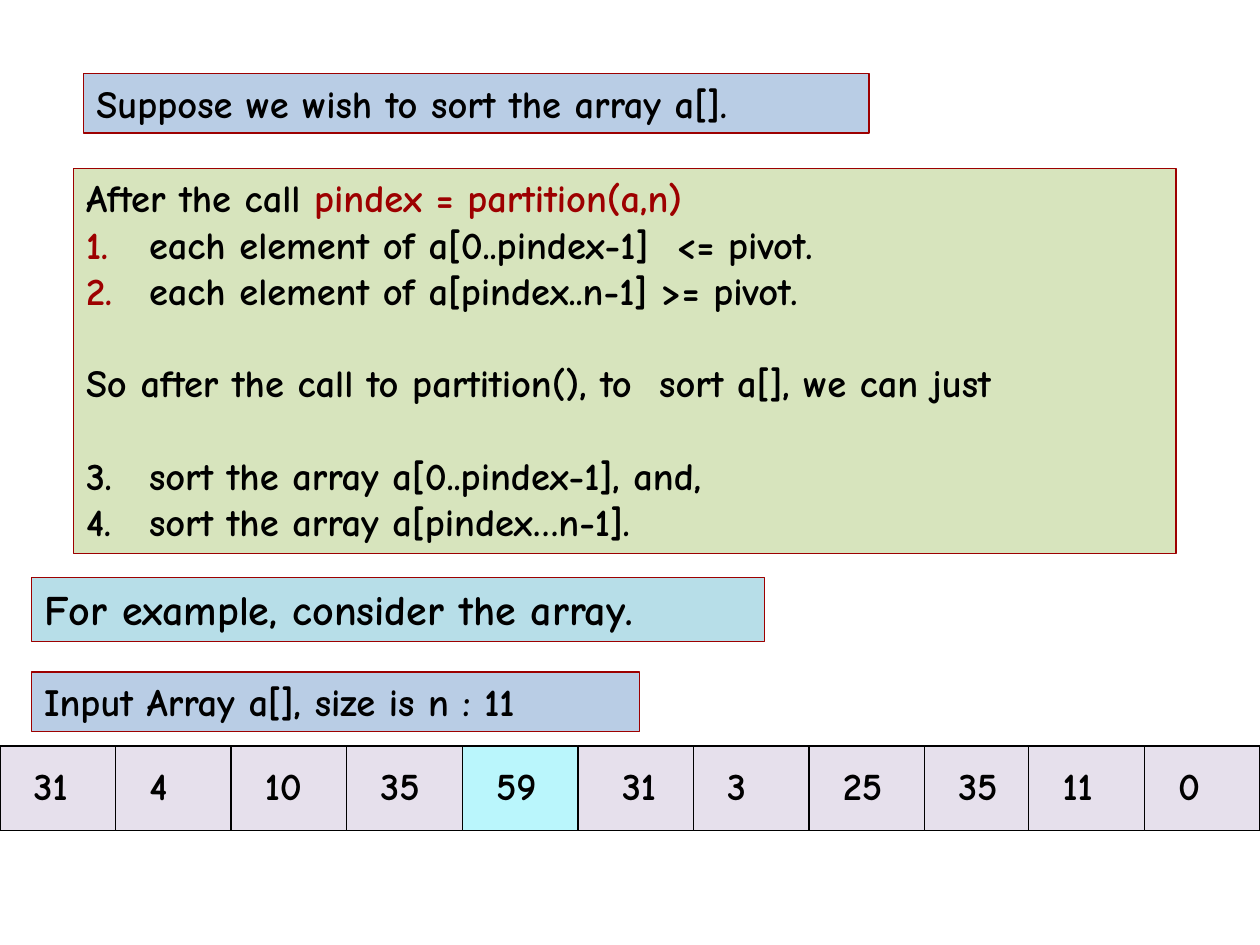
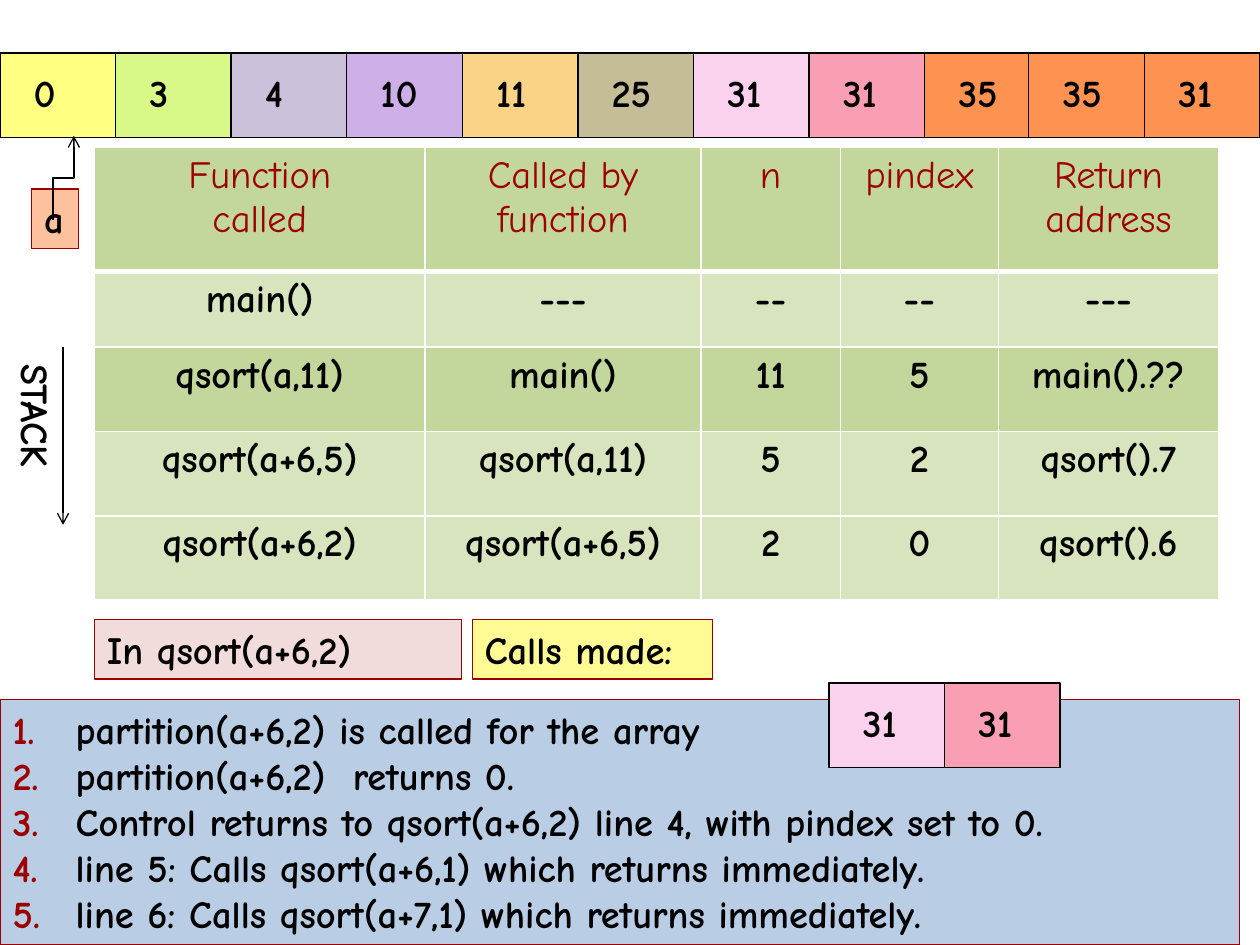
from lxml.etree import SubElement
from pptx import Presentation
from pptx.dml.color import RGBColor
from pptx.enum.shapes import MSO_CONNECTOR, MSO_SHAPE
from pptx.enum.text import MSO_ANCHOR, MSO_AUTO_SIZE, PP_ALIGN
from pptx.oxml.ns import qn
from pptx.util import Cm, Pt

INK, RED, WHITE = "000000", "9D0000", "FFFFFF"
BLUE, LIGHT_GREEN, GREEN = "B9CDE5", "D7E4BD", "C3D69B"
LILAC, PINK, ROSE, ORANGE = "E6E0EC", "FAD2ED", "FA9EB4", "FE9250"
CELL_WIDTH, CELL_HEIGHT, CELL_OVERLAP = 2.33, 1.7, 0.23


def paint(fill, colour):
    fill.solid()
    fill.fore_color.rgb = RGBColor.from_string(colour)


def write(frame, lines, size=22, bold=True, align=PP_ALIGN.LEFT):
    for index, line in enumerate(lines):
        paragraph = frame.add_paragraph() if index else frame.paragraphs[0]
        start = line.get("start")
        layout = {"alignment": align, "space_before": Pt(line.get("gap", 0))}
        for attribute, value in layout.items():
            setattr(paragraph, attribute, value)
        properties = paragraph._p.get_or_add_pPr()
        indent = Cm(1.27) if start else 0
        properties.set("marL", str(indent))
        properties.set("indent", str(-indent))
        if start:
            mark = SubElement(properties, qn("a:buClr"))
            SubElement(mark, qn("a:srgbClr"), val=line.get("mark", INK))
            SubElement(properties, qn("a:buFontTx"))
            SubElement(properties, qn("a:buAutoNum"), type="arabicPeriod", startAt=str(start))
        else:
            SubElement(properties, qn("a:buNone"))
        for text, colour in line["runs"]:
            run = paragraph.add_run()
            run.text = text
            for attribute, value in {"name": "Comic Neue", "size": Pt(size), "bold": bold}.items():
                setattr(run.font, attribute, value)
            paint(run.font.fill, colour)


deck = Presentation()
deck.slide_width, deck.slide_height = Cm(25.4), Cm(19.05)
partition_slide, stack_slide = [deck.slides.add_slide(deck.slide_layouts[1]) for _ in range(2)]

partition_facts = [
    {"runs": [("After the call ", INK), ("pindex = partition(a,n)", RED)]},
    {"runs": [("each element of a[0..pindex-1]  <= pivot.", INK)], "start": 1, "mark": RED},
    {"runs": [("each element of a[pindex..n-1] >= pivot.", INK)], "start": 1, "mark": RED},
    {"runs": [("So after the call to partition(), to  sort a[], we can just", INK)], "gap": 26.5},
    {"runs": [("sort the array a[0..pindex-1], and,", INK)], "start": 3, "gap": 26.5},
    {"runs": [("sort the array a[pindex…n-1].", INK)], "start": 3},
]
calls_made = [
    {"runs": [(call, INK)], "start": 1, "mark": RED}
    for call in (
        "partition(a+6,2) is called for the array",
        "partition(a+6,2)  returns 0.",
        "Control returns to qsort(a+6,2) line 4, with pindex set to 0.",
        "line 5: Calls qsort(a+6,1) which returns immediately.",
        "line 6: Calls qsort(a+7,1) which returns immediately.",
    )
]

panels = [
    (partition_slide, 0, (1.69, 1.48, 15.83, 1.2), BLUE, 22, "Suppose we wish to sort the array a[]."),
    (partition_slide, 1, (1.48, 3.39, 22.23, 7.77), LIGHT_GREEN, 22, partition_facts),
    (partition_slide, None, (0.64, 11.64, 14.78, 1.3), "B7DEE8", 24, "For example, consider the array."),
    (partition_slide, None, (0.64, 13.55, 12.25, 1.2), BLUE, 22, "Input Array a[], size is n : 11"),
    (stack_slide, 0, (1.9, 12.49, 7.41, 1.2), "F2DCDB", 22, "In qsort(a+6,2)"),
    (stack_slide, 1, (0, 14.1, 24.99, 4.95), BLUE, 22, calls_made),
    (stack_slide, None, (9.52, 12.49, 4.85, 1.2), "FEFB94", 22, "Calls made:"),
    (stack_slide, None, (0.64, 3.81, 0.94, 1.2), "FDC29D", 22, "a"),
]
for slide, holder, place, colour, size, content in panels:
    box = [Cm(length) for length in place]
    if holder is None:
        panel = slide.shapes.add_shape(MSO_SHAPE.RECTANGLE, *box)
    else:
        panel = slide.placeholders[holder]
        for attribute, length in zip(("left", "top", "width", "height"), box):
            setattr(panel, attribute, length)
    panel.shadow.inherit = False
    paint(panel.fill, colour)
    paint(panel.line.fill, RED)
    panel.line.width = Pt(0.75)
    frame_format = {
        "word_wrap": True,
        "auto_size": MSO_AUTO_SIZE.NONE,
        "vertical_anchor": MSO_ANCHOR.TOP,
    }
    for attribute, value in frame_format.items():
        setattr(panel.text_frame, attribute, value)
    lines = [{"runs": [(content, INK)]}] if isinstance(content, str) else content
    write(panel.text_frame, lines, size)

input_values = [31, 4, 10, 35, 59, 31, 3, 25, 35, 11, 0]
input_colours = [LILAC] * 4 + ["BAF6FC"] + [LILAC] * 6
sorted_values = [0, 3, 4, 10, 11, 25, 31, 31, 35, 35, 31]
sorted_colours = ["FFFF81", "D8F888", "CCC1DA", "CFAFE7", "FAD386", "C4BD97", PINK, ROSE] + [ORANGE] * 3
arrays = [
    (partition_slide, 0, 15.04, input_values, input_colours, 5),
    (stack_slide, 0, 1.07, sorted_values, sorted_colours, None),
    (stack_slide, 16.71, 13.77, [31, 31], [PINK, ROSE], None),
]
for slide, left, top, values, colours, shifted in arrays:
    for index, (number, colour) in enumerate(zip(values, colours)):
        cell_left = left + index * CELL_WIDTH - (CELL_OVERLAP if index > 8 else 0)
        element = slide.shapes.add_shape(
            MSO_SHAPE.RECTANGLE, Cm(cell_left), Cm(top), Cm(CELL_WIDTH), Cm(CELL_HEIGHT)
        )
        element.shadow.inherit = False
        paint(element.fill, colour)
        paint(element.line.fill, INK)
        element.line.width = Pt(0.75)
        frame_format = {
            "margin_left": Cm(0.89 if index == shifted else 0.68),
            "margin_right": 0,
            "margin_top": Cm(0.33),
            "vertical_anchor": MSO_ANCHOR.TOP,
        }
        for attribute, value in frame_format.items():
            setattr(element.text_frame, attribute, value)
        write(element.text_frame, [{"runs": [(str(number), INK)]}])

calls = [
    ("Function\ncalled", "Called by\nfunction", "n", "pindex", "Return address"),
    ("main()", "---", "--", "--", "---"),
    ("qsort(a,11)", "main()", "11", "5", "main().??"),
    ("qsort(a+6,5)", "qsort(a,11)", "5", "2", "qsort().7"),
    ("qsort(a+6,2)", "qsort(a+6,5)", "2", "0", "qsort().6"),
]
column_widths = [6.67, 5.56, 2.81, 3.19, 4.43]
row_heights = [2.51, 1.52, 1.7, 1.7, 1.7]
call_stack = stack_slide.shapes.add_table(
    len(calls), len(column_widths), Cm(1.9), Cm(2.97), Cm(sum(column_widths)), Cm(sum(row_heights))
).table
for column, width in zip(call_stack.columns, column_widths):
    column.width = Cm(width)
for row_index, (row, height, entries) in enumerate(zip(call_stack.rows, row_heights, calls)):
    row.height = Cm(height)
    heading = row_index == 0
    for cell, entry in zip(row.cells, entries):
        properties = cell._tc.get_or_add_tcPr()
        for side in "LRTB":
            weight = Pt(3) if heading and side == "B" else Pt(1)
            border = SubElement(properties, qn(f"a:ln{side}"), w=str(weight))
            SubElement(SubElement(border, qn("a:solidFill")), qn("a:srgbClr"), val=WHITE)
        paint(cell.fill, GREEN if row_index in (0, 2) else LIGHT_GREEN)
        lines = [{"runs": [(text, RED if heading else INK)]} for text in entry.split("\n")]
        write(cell.text_frame, lines, bold=not heading, align=PP_ALIGN.CENTER)

stack_label = stack_slide.shapes.add_textbox(Cm(-0.84), Cm(8.05), Cm(3.12), Cm(1.2))
stack_label.rotation = 90
stack_label.text_frame.word_wrap = True
write(stack_label.text_frame, [{"runs": [("STACK", INK)]}])

stack_growth = stack_slide.shapes.add_connector(
    MSO_CONNECTOR.STRAIGHT, Cm(1.27), Cm(6.99), Cm(1.27), Cm(10.58)
)
array_pointer = stack_slide.shapes.add_connector(
    MSO_CONNECTOR.ELBOW, Cm(2.13), Cm(3.8), Cm(0.43), Cm(3.38)
)
array_pointer._element.spPr.xfrm.set("rot", "5400000")
for arrow in (stack_growth, array_pointer):
    paint(arrow.line.fill, INK)
    arrow.line.width = Pt(0.75)
    SubElement(arrow.line._get_or_add_ln(), qn("a:tailEnd"), type="arrow")
    SubElement(arrow._element.spPr, qn("a:effectLst"))

deck.save("out.pptx")
